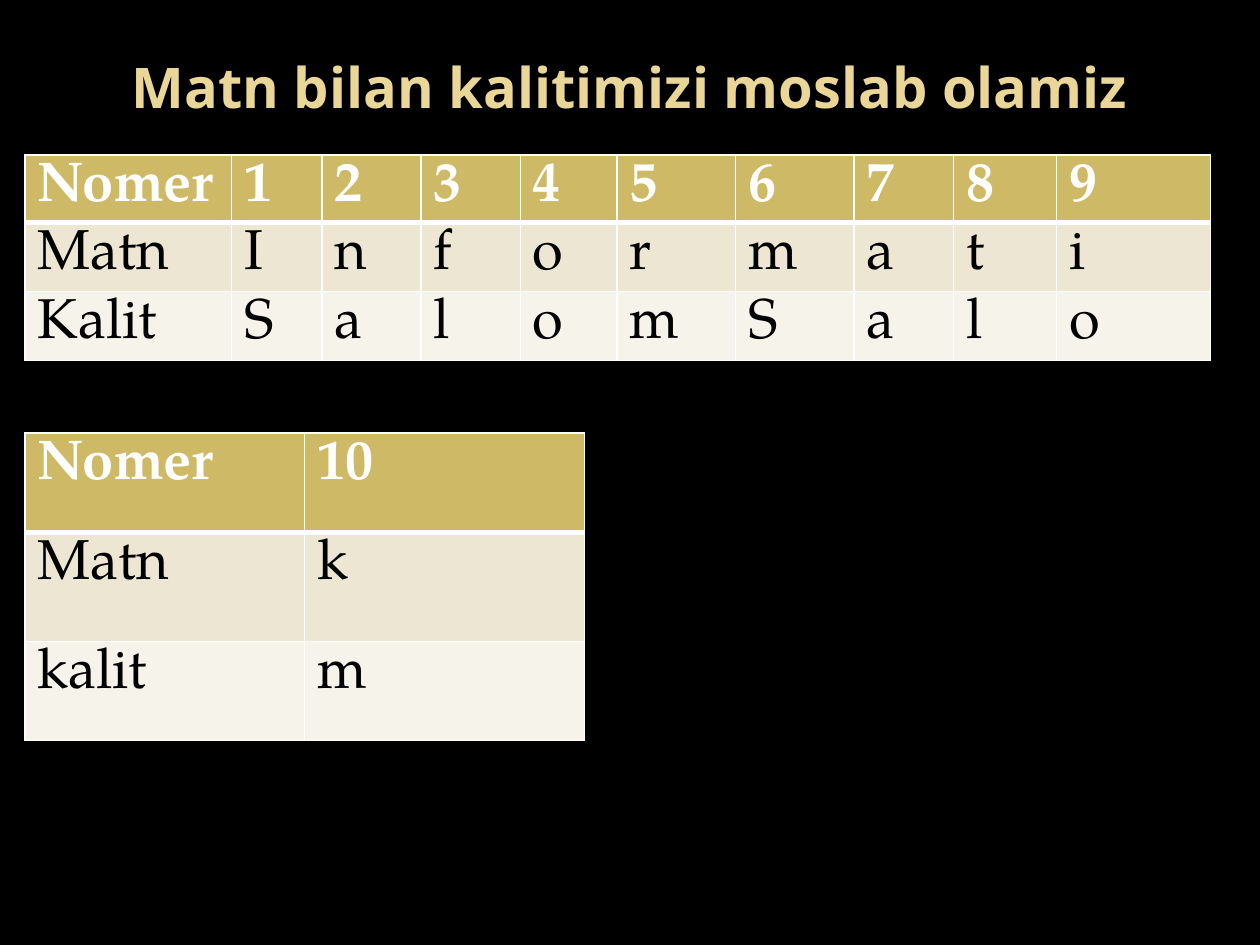
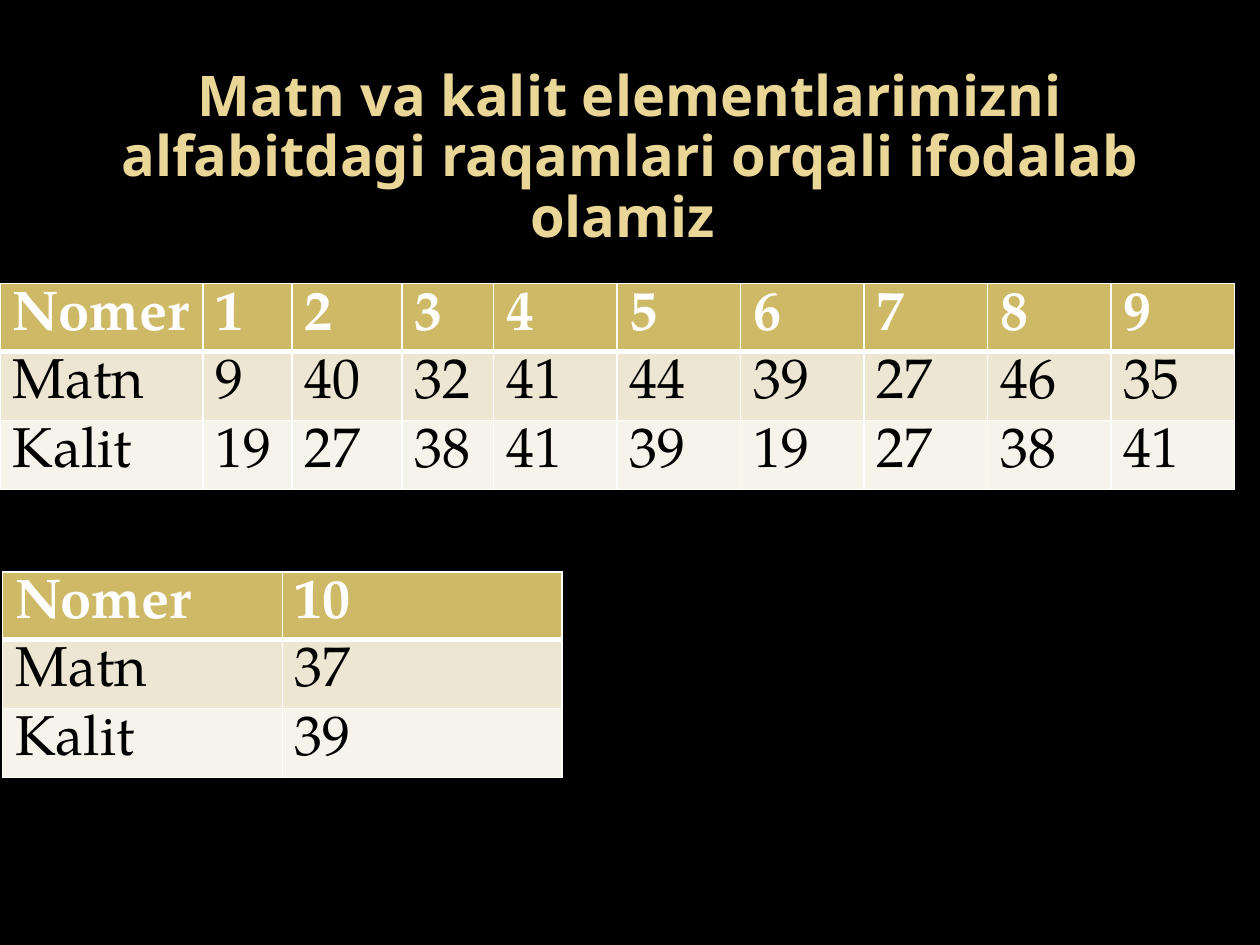
from pptx import Presentation
from pptx.dml.color import RGBColor
from pptx.enum.text import MSO_ANCHOR as Anchor, MSO_AUTO_SIZE as AutoSize, PP_ALIGN as Align
from pptx.oxml.ns import qn
from pptx.util import Cm, Pt
from lxml.etree import SubElement

BLACK, WHITE, TITLE_GOLD = "000000", "FFFFFF", "EAD696"
ROW_FILLS = ["CEB966", "EDE6D3", "F6F3EA"]
TITLE_FONT, TABLE_FONT = "Noto Sans", "TeX Gyre Pagella"
TEXT_SIZE = 32
THIN, THICK = 1, 3
COMPACT_ROWS = [1.04] * 3
NUMBERS = ["Nomer", *"123456789"]

SLIDES = [
    {
        "title": "Matn bilan kalitimizi moslab olamiz",
        "title_height": 1.96,
        "tables": [
            {
                "at": (0.5, 3.12),
                "columns": [4.17, 1.82, 2, 2, 1.95, 2.39, 2.39, 2, 2.08, 3.1],
                "heights": COMPACT_ROWS,
                "rows": [NUMBERS, ["Matn", *"Informati"], ["Kalit", *"SalomSalo"]],
            },
            {
                "at": (0.5, 8.73),
                "columns": [5.64] * 2,
                "heights": [2, 2.2, 2],
                "rows": [["Nomer", "10"], ["Matn", "k"], ["kalit", "m"]],
            },
        ],
    },
    {
        "title": "Matn va kalit elementlarimizni alfabitdagi raqamlari orqali ifodalab olamiz ",
        "title_height": 4.57,
        "tables": [
            {
                "at": (0, 5.72),
                "columns": [4.09, 1.8, 2.21, 1.85] + [2.49] * 6,
                "heights": COMPACT_ROWS,
                "rows": [
                    NUMBERS,
                    ["Matn", "9", "40", "32", "41", "44", "39", "27", "46", "35"],
                    ["Kalit", "19", "27", "38", "41", "39", "19", "27", "38", "41"],
                ],
            },
            {
                "at": (0.05, 11.53),
                "columns": [5.64] * 2,
                "heights": COMPACT_ROWS,
                "rows": [["Nomer", "10"], ["Matn", "37"], ["Kalit", "39"]],
            },
        ],
    },
]


def color(value):
    return RGBColor.from_string(value)


def write(frame, text, font, fill, bold=False, align=Align.LEFT):
    paragraph = frame.paragraphs[0]
    paragraph.alignment = align
    run = paragraph.add_run()
    run.text = text
    run.font.name = font
    run.font.size = Pt(TEXT_SIZE)
    run.font.bold = bold
    run.font.color.rgb = color(fill)


def add_title(slide, text, height):
    frame = slide.shapes.add_textbox(Cm(1.27), Cm(0.76), Cm(22.86), Cm(height)).text_frame
    frame.word_wrap = True
    frame.vertical_anchor = Anchor.MIDDLE
    frame.auto_size = AutoSize.TEXT_TO_FIT_SHAPE
    write(frame, text, TITLE_FONT, TITLE_GOLD, bold=True, align=Align.CENTER)


def set_borders(cell, top, bottom):
    properties = cell._tc.get_or_add_tcPr()
    for side, width in (("L", THIN), ("R", THIN), ("T", top), ("B", bottom)):
        line = SubElement(properties, qn(f"a:ln{side}"), w=str(Pt(width)))
        SubElement(SubElement(line, qn("a:solidFill")), qn("a:srgbClr"), val=WHITE)


def add_table(slide, at, columns, heights, rows):
    left, top = at
    table = slide.shapes.add_table(
        len(rows), len(columns), Cm(left), Cm(top), Cm(sum(columns)), Cm(sum(heights))
    ).table
    for column, width in zip(table.columns, columns):
        column.width = Cm(width)
    for row, height in zip(table.rows, heights):
        row.height = Cm(height)
    for row_index, values in enumerate(rows):
        header = row_index == 0
        for column_index, value in enumerate(values):
            cell = table.cell(row_index, column_index)
            set_borders(cell, THICK if row_index == 1 else THIN, THICK if header else THIN)
            cell.fill.solid()
            cell.fill.fore_color.rgb = color(ROW_FILLS[row_index])
            write(cell.text_frame, value, TABLE_FONT, WHITE if header else BLACK, bold=header)


def main():
    presentation = Presentation()
    presentation.slide_width, presentation.slide_height = Cm(25.4), Cm(19.05)
    for content in SLIDES:
        slide = presentation.slides.add_slide(presentation.slide_layouts[6])
        slide.background.fill.solid()
        slide.background.fill.fore_color.rgb = color(BLACK)
        add_title(slide, content["title"], content["title_height"])
        for table in content["tables"]:
            add_table(slide, **table)
    presentation.save("out.pptx")


if __name__ == "__main__":
    main()
